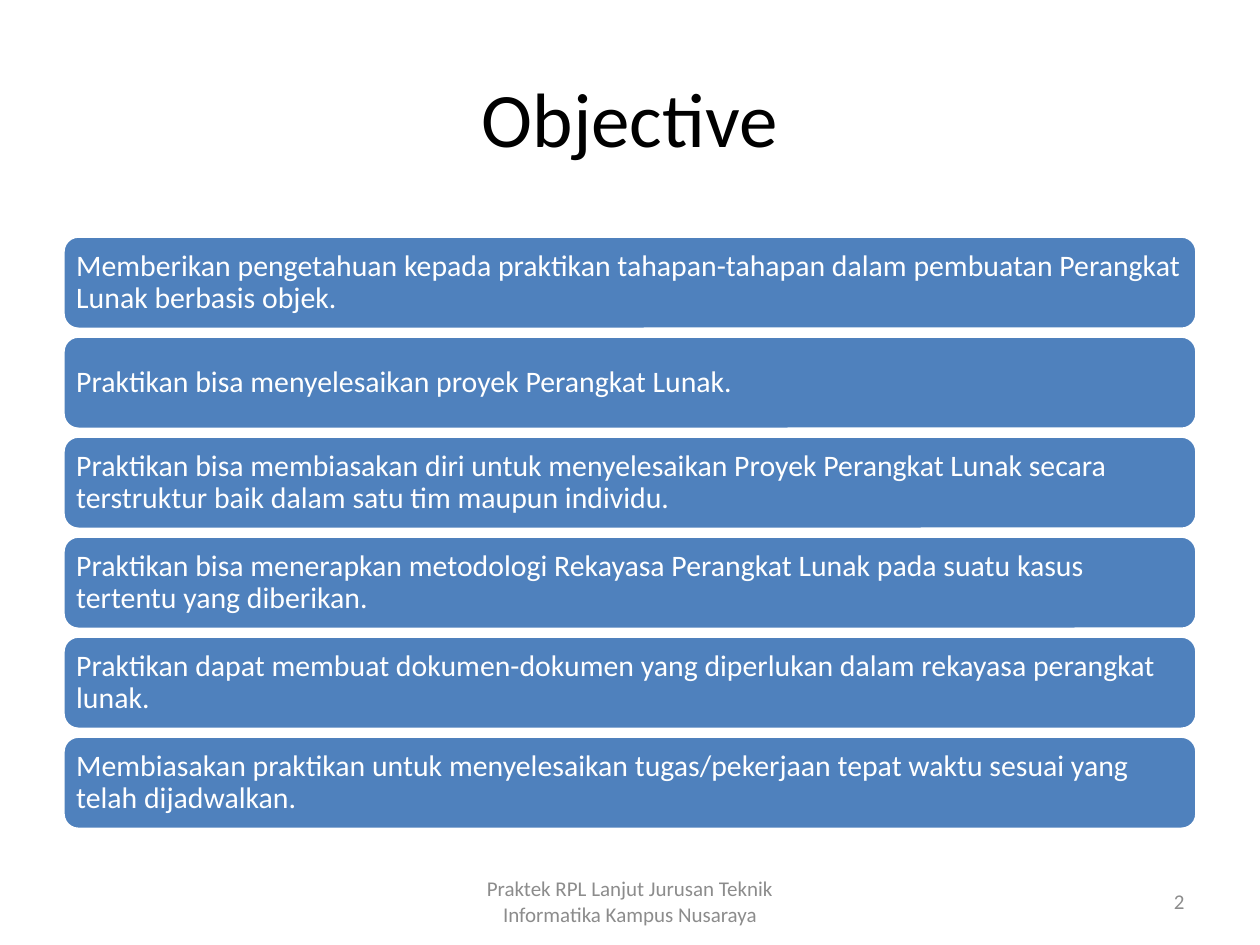
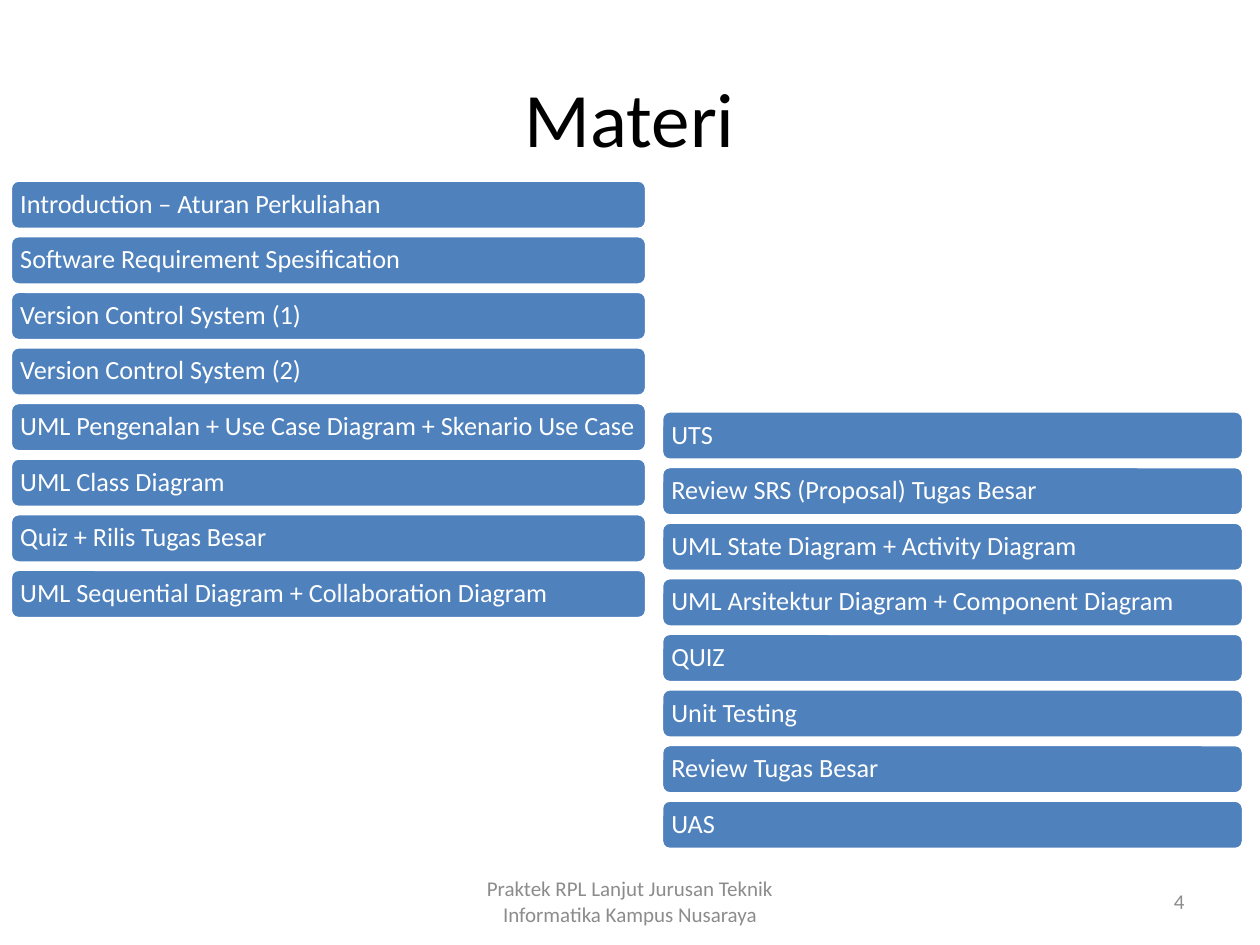
from dataclasses import dataclass
from pptx import Presentation
from pptx.dml.color import RGBColor
from pptx.enum.shapes import MSO_SHAPE
from pptx.enum.text import MSO_ANCHOR, PP_ALIGN
from pptx.util import Pt


@dataclass(frozen=True)
class Theme:
    font: str = "Calibri"
    black: RGBColor = RGBColor(0, 0, 0)
    white: RGBColor = RGBColor(255, 255, 255)
    blue: RGBColor = RGBColor(0x4F, 0x81, 0xBD)
    gray: RGBColor = RGBColor(0x8C, 0x8C, 0x8C)
    title_size: int = 44
    footer_size: int = 12


theme = Theme()
FOOTER = "Praktek RPL Lanjut Jurusan Teknik Informatika Kampus Nusaraya"

# Each stack of bars: left, top, width, bar height, pitch, text size, inset, items
PAGES = [
    ("Objective", "2", [
        (36, 134.9, 648, 53.3, 57.15, 17, 5, [
            "Memberikan pengetahuan kepada praktikan tahapan-tahapan dalam pembuatan "
            "Perangkat Lunak berbasis objek.",
            "Praktikan bisa menyelesaikan proyek Perangkat Lunak.",
            "Praktikan bisa membiasakan diri untuk menyelesaikan Proyek Perangkat Lunak "
            "secara terstruktur baik dalam satu tim maupun individu.",
            "Praktikan bisa menerapkan metodologi Rekayasa Perangkat Lunak pada suatu "
            "kasus tertentu yang diberikan.",
            "Praktikan dapat membuat dokumen-dokumen yang diperlukan dalam rekayasa "
            "perangkat lunak.",
            "Membiasakan praktikan untuk menyelesaikan tugas/pekerjaan tepat waktu "
            "sesuai yang telah dijadwalkan.",
        ]),
    ]),
    ("Materi", "4", [
        (5.9, 102.9, 363.6, 28.2, 31.77, 15, 4.3, [
            "Introduction – Aturan Perkuliahan",
            "Software Requirement Spesification",
            "Version Control System (1)",
            "Version Control System (2)",
            "UML Pengenalan + Use Case Diagram + Skenario Use Case",
            "UML Class Diagram",
            "Quiz + Rilis Tugas Besar",
            "UML Sequential Diagram + Collaboration Diagram",
        ]),
        (378, 234.8, 332.6, 28.2, 31.77, 15, 4.3, [
            "UTS",
            "Review SRS (Proposal) Tugas Besar",
            "UML State Diagram + Activity Diagram",
            "UML Arsitektur Diagram + Component Diagram",
            "QUIZ",
            "Unit Testing",
            "Review Tugas Besar",
            "UAS",
        ]),
    ]),
]


def write(box, text, size, color, align, spacing=1.0, insets=(7.2, 3.6)):
    """Fill a box with one vertically centred paragraph."""
    across, down = insets
    frame_format = {
        "word_wrap": True, "vertical_anchor": MSO_ANCHOR.MIDDLE,
        "margin_left": Pt(across), "margin_right": Pt(across),
        "margin_top": Pt(down), "margin_bottom": Pt(down),
    }
    for name, value in frame_format.items():
        setattr(box.text_frame, name, value)
    para = box.text_frame.paragraphs[0]
    para.alignment = align
    para.line_spacing = spacing
    span = para.add_run()
    span.text = text
    for name, value in {"name": theme.font, "size": Pt(size)}.items():
        setattr(span.font, name, value)
    span.font.color.rgb = color


deck = Presentation()
deck.slide_width, deck.slide_height = Pt(720), Pt(540)

for title, number, stacks in PAGES:
    page = deck.slides.add_slide(deck.slide_layouts[6])

    # Title, slide number and footer
    labels = [
        (title, (36, 21.6, 648, 90), theme.title_size, theme.black, PP_ALIGN.CENTER),
        (number, (516, 500.5, 168, 28.8), theme.footer_size, theme.gray, PP_ALIGN.RIGHT),
        (FOOTER, (246, 500.5, 228, 28.8), theme.footer_size, theme.gray, PP_ALIGN.CENTER),
    ]
    for text, place, size, color, align in labels:
        box = page.shapes.add_textbox(*map(Pt, place))
        write(box, text, size, color, align)

    # Stacks of rounded bars
    for left, top, width, height, pitch, size, inset, items in stacks:
        for row, text in enumerate(items):
            place = (left, top + row * pitch, width, height)
            bar = page.shapes.add_shape(MSO_SHAPE.ROUNDED_RECTANGLE, *map(Pt, place))
            bar.shadow.inherit = False
            bar.fill.solid()
            bar.fill.fore_color.rgb = theme.blue
            bar.line.color.rgb = theme.white
            bar.line.width = Pt(2)
            write(bar, text, size, theme.white, PP_ALIGN.LEFT, 0.9, (inset, inset))

deck.save("out.pptx")
